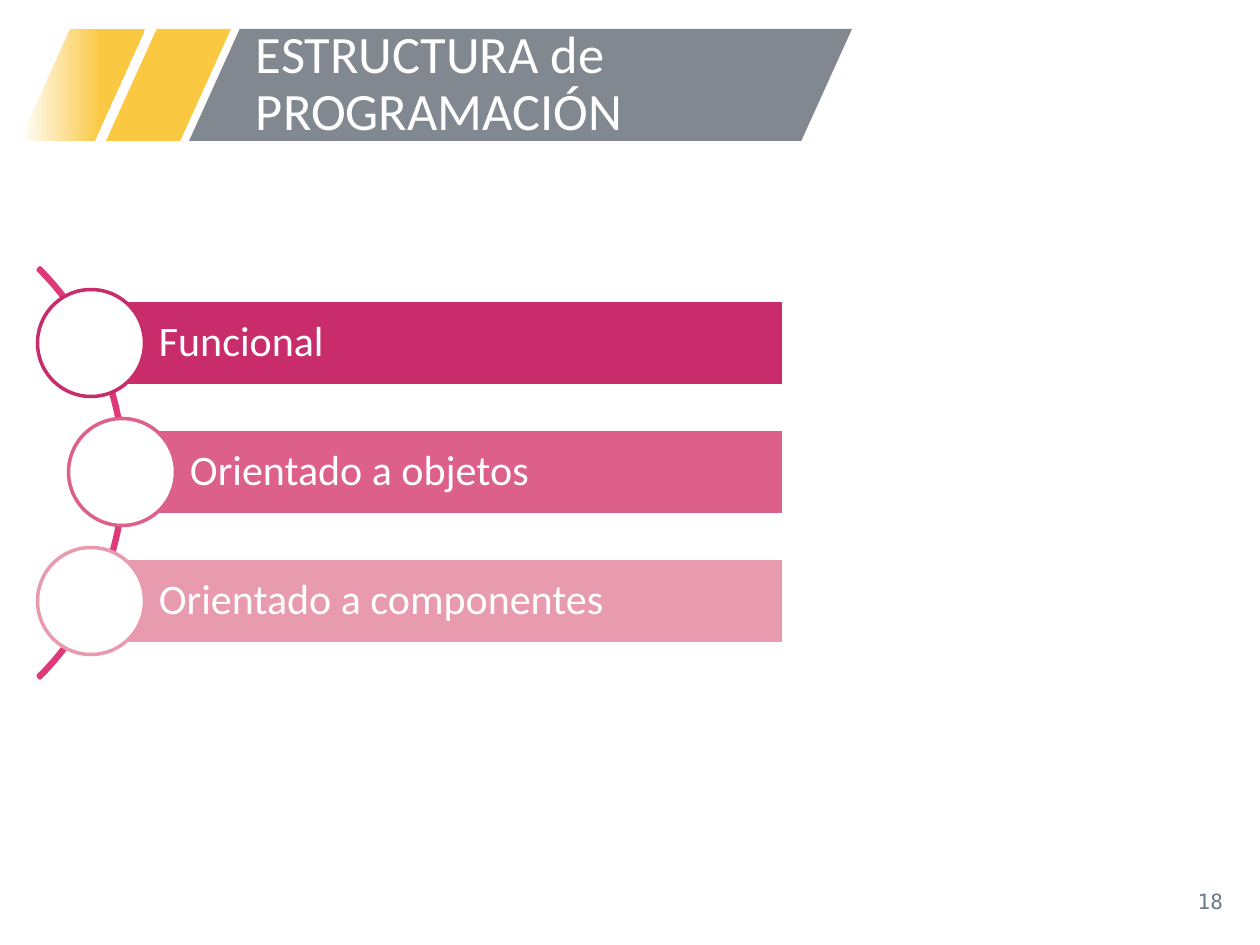
from pptx import Presentation
from pptx.dml.color import RGBColor
from pptx.enum.shapes import MSO_SHAPE
from pptx.enum.text import MSO_ANCHOR, PP_ALIGN
from pptx.util import Emu, Pt

PARALLELOGRAM = MSO_SHAPE.PARALLELOGRAM
RECTANGLE = MSO_SHAPE.RECTANGLE
OVAL = MSO_SHAPE.OVAL
BLOCK_ARC = MSO_SHAPE.BLOCK_ARC
MIDDLE = MSO_ANCHOR.MIDDLE
LEFT, RIGHT = PP_ALIGN.LEFT, PP_ALIGN.RIGHT
PX = 914400 / 126
YELLOW, GREY, WHITE = "FBC842", "81888F", "FFFFFF"


def add_shape(kind, box, fill=None, line=None, adjustments=()):
    shape = slide.shapes.add_shape(kind, *[Emu(round(v * PX)) for v in box])
    shape.shadow.inherit = False
    for target, color in ((shape.fill, fill), (shape.line.fill, line)):
        if color:
            target.solid()
            target.fore_color.rgb = RGBColor.from_string(color)
        else:
            target.background()
    if line:
        shape.line.width = Pt(2)
    for index, value in enumerate(adjustments):
        shape.adjustments[index] = value
    return shape


def write_text(shape, text, size, color=WHITE, font="Calibri", align=LEFT,
               spacing=0.9, insets=(13, 6, 13, 6)):
    frame = shape.text_frame
    left, top, right, bottom = [Emu(round(v * PX)) for v in insets]
    paragraph = frame.paragraphs[0]
    paragraph.text = text
    paragraph.font.color.rgb = RGBColor.from_string(color)
    formats = (
        (frame, {"word_wrap": True, "vertical_anchor": MIDDLE,
                 "margin_left": left, "margin_top": top,
                 "margin_right": right, "margin_bottom": bottom}),
        (paragraph, {"alignment": align, "line_spacing": spacing}),
        (paragraph.font, {"name": font, "size": Pt(size)}),
    )
    for target, values in formats:
        for name, value in values.items():
            setattr(target, name, value)


presentation = Presentation()
presentation.slide_width = Emu(round(1260 * PX))
presentation.slide_height = Emu(round(945 * PX))
slide = presentation.slides.add_slide(presentation.slide_layouts[6])

add_shape(PARALLELOGRAM, (106, 29, 125, 112), YELLOW, adjustments=[0.453])
fading_stripe = add_shape(PARALLELOGRAM, (20, 29, 125, 112), YELLOW, adjustments=[0.453])
fading_stripe.fill.gradient()
fading_stripe.fill.gradient_angle = 0
for stop, (position, color) in zip(fading_stripe.fill.gradient_stops, ((0, WHITE), (0.65, YELLOW))):
    stop.position = position
    stop.color.rgb = RGBColor.from_string(color)
add_shape(PARALLELOGRAM, (189, 29, 663, 112), GREY, adjustments=[0.453])

title = slide.shapes.add_textbox(*[Emu(round(v * PX)) for v in (243, 29, 591, 112)])
write_text(title, "ESTRUCTURA de PROGRAMACIÓN", 30)
page_number = slide.shapes.add_textbox(*[Emu(round(v * PX)) for v in (953, 876, 283, 50)])
write_text(page_number, "18", 12, "6C7A8A", "DejaVu Sans Mono", RIGHT, 1.0)

add_shape(BLOCK_ARC, (-455, 183, 580, 580), line="DE3978", adjustments=[189, 27, 0.005])

paradigms = (
    ("Funcional", 91, "C92C6A"),
    ("Orientado a objetos", 122, "DC6089"),
    ("Orientado a componentes", 91, "E89BAF"),
)
bar_right, bar_height, circle_size, pitch = 784, 86, 107, 129
for row, (name, bar_left, color) in enumerate(paradigms):
    center = 343 + row * pitch
    bar = add_shape(RECTANGLE, (bar_left, center - bar_height / 2, bar_right - bar_left, bar_height),
                    color, WHITE)
    write_text(bar, name, 24, insets=(68, 9, 9, 9))
    add_shape(OVAL, (bar_left - circle_size / 2, center - circle_size / 2, circle_size, circle_size),
              WHITE, color)

presentation.save("out.pptx")
